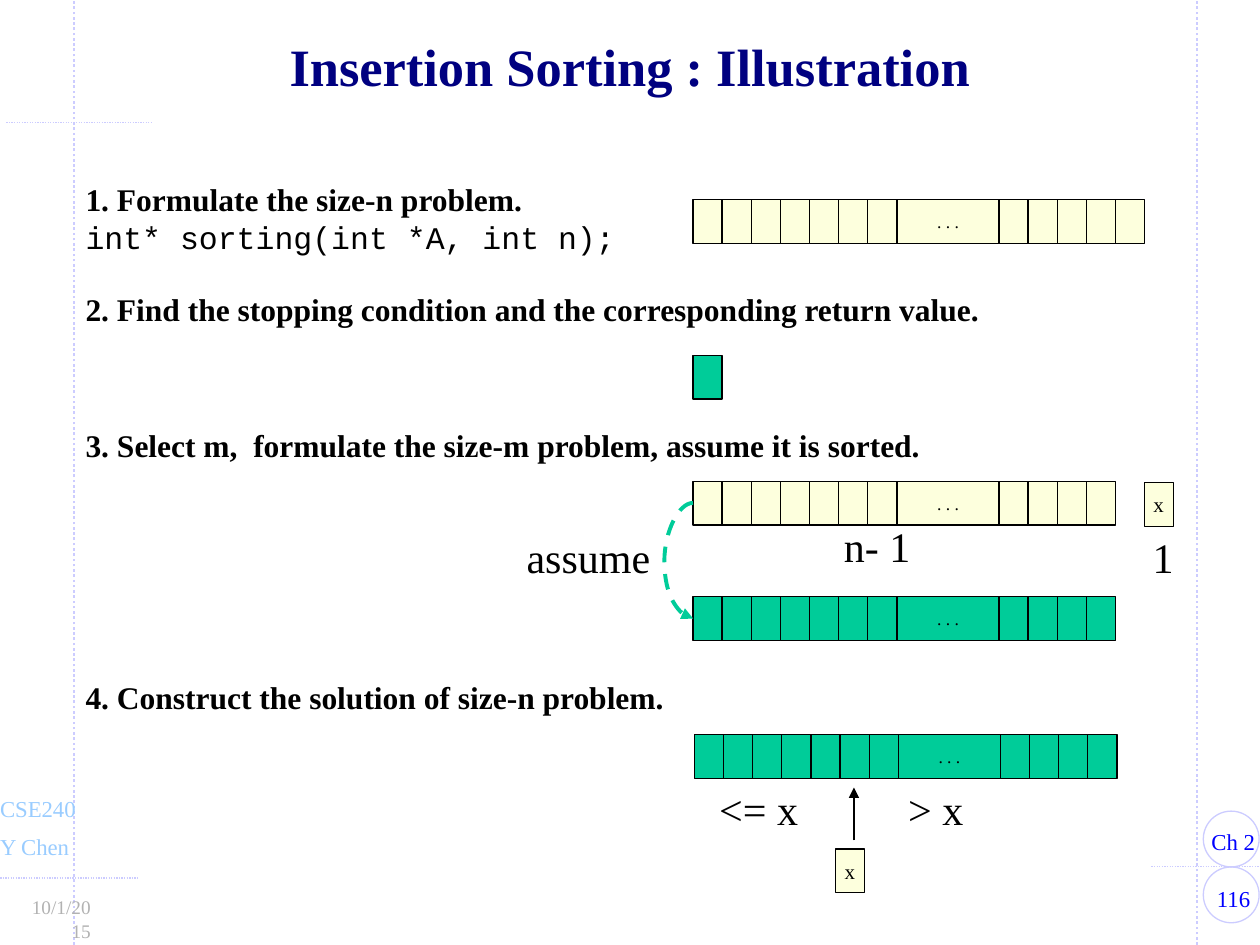
"""Build a slide that illustrates insertion sorting step by step."""
from lxml import etree
from pptx import Presentation
from pptx.dml.color import RGBColor
from pptx.enum.dml import MSO_LINE
from pptx.enum.shapes import MSO_CONNECTOR, MSO_SHAPE
from pptx.enum.text import MSO_ANCHOR, PP_ALIGN
from pptx.oxml.ns import qn
from pptx.util import Pt

RECT, OVAL = MSO_SHAPE.RECTANGLE, MSO_SHAPE.OVAL
STRAIGHT, CURVE = MSO_CONNECTOR.STRAIGHT, MSO_CONNECTOR.CURVE
LEFT, CENTER, RIGHT = PP_ALIGN.LEFT, PP_ALIGN.CENTER, PP_ALIGN.RIGHT
TOP, MIDDLE = MSO_ANCHOR.TOP, MSO_ANCHOR.MIDDLE
DOT, DASH = MSO_LINE.ROUND_DOT, MSO_LINE.DASH

THEME = {
    "serif": "Times New Roman", "mono": "Courier New",
    "title": "000080", "text": "000000", "rule": "CCCCFF", "page": "0000FF",
    "course": "99CCFF", "date": "B2B2B2", "raw": "FDFFDD", "sorted": "00CC99",
    "title_size": 30, "label_size": 24, "step_size": 18, "frame_size": 13,
    "key_size": 12, "date_size": 11, "dots_size": 10,
}

TITLE = "Insertion Sorting : Illustration"
STEPS = [
    (99.4, 50.4, ["1. Formulate the size-n problem.", "int* sorting(int *A, int n);"]),
    (162, 28.8, ["2. Find the stopping condition and the corresponding return value."]),
    (239.8, 28.8, ["3. Select m,  formulate the size-m problem, assume it is sorted."]),
    (383.8, 28.8, ["4. Construct the solution of size-n problem."]),
]
ARRAYS = [
    (396, 114, 5, "raw"),
    (396, 275, 4, "raw"),
    (396, 341, 4, "sorted"),
    (396.8, 419.8, 4, "sorted"),
]
SINGLES = [
    (396, 203, "sorted", ""),
    (653.8, 275.8, "raw", "x"),
    (477.4, 485.1, "raw", "x"),
]
LABELS = [
    (475.2, 293.8, 52.6, "n- 1"),
    (651.6, 300.2, 26.6, "1"),
    (293.8, 300.2, 85, "assume"),
    (403.9, 444.2, 59.8, "<= x"),
    (511.9, 444.2, 46.1, "> x"),
]
FRAME_LINES = [
    (42.3, 540, 42.3, 0, 1.5),
    (684, 540, 684, 0, 1.5),
    (-4.3, 501.8, 78.5, 501.8, 0.75),
    (658, 495.2, 723.6, 495.2, 0.75),
    (3.6, 69.9, 86.4, 69.9, 0.75),
]
FRAME_CIRCLES = [(687.6, 495.4), (687.6, 463.5)]
FRAME_TEXTS = [
    (684, 501.8, 41.8, 23, "116", "page", "frame_size", CENTER),
    (684.4, 469.6, 44, 23, "Ch 2", "page", "frame_size", LEFT),
    (-7.9, 472.5, 60, 23, "Y Chen", "course", "frame_size", LEFT),
    (-7.9, 450.7, 62, 23, "CSE240", "course", "frame_size", LEFT),
    (5.8, 508.3, 54, 20.9, "10/1/2015", "date", "date_size", RIGHT),
]
CELL_W, CELL_H, GAP_W, LEAD_CELLS = 16.65, 25, 58.3, 7
CIRCLE = 31.9


def rgb(name):
    return RGBColor.from_string(THEME[name])


def write(tf, lines, size, color="text", align=LEFT, bold=False, wrap=True, anchor=TOP, inset=7.2):
    tf.word_wrap = wrap
    tf.vertical_anchor = anchor
    tf.margin_left = tf.margin_right = Pt(inset)
    tf.margin_top = tf.margin_bottom = Pt(3.6)
    for i, line in enumerate(lines):
        p = tf.add_paragraph() if i else tf.paragraphs[0]
        p.alignment = align
        r = p.add_run()
        r.text = line
        r.font.name = THEME["mono" if i else "serif"]
        r.font.size = Pt(THEME[size])
        r.font.bold = bold and not i
        r.font.color.rgb = rgb(color)


def add_text(s, x, y, w, h, lines, size, **style):
    sp = s.shapes.add_textbox(Pt(x), Pt(y), Pt(w), Pt(h))
    write(sp.text_frame, lines, size, **style)
    return sp.text_frame


def add_box(s, kind, x, y, w, h, fill=None, line="text"):
    sp = s.shapes.add_shape(kind, Pt(x), Pt(y), Pt(w), Pt(h))
    sp.shadow.inherit = False
    if fill:
        sp.fill.solid()
        sp.fill.fore_color.rgb = rgb(fill)
    else:
        sp.fill.background()
    sp.line.color.rgb = rgb(line)
    sp.line.width = Pt(0.75)
    return sp


def add_cell(s, x, y, w, fill, label="", size="key_size"):
    sp = add_box(s, RECT, x, y, w, CELL_H, fill)
    if label:
        write(sp.text_frame, [label], size, align=CENTER, wrap=False, anchor=MIDDLE)


def add_array(s, x, y, tail_cells, fill):
    for i in range(LEAD_CELLS):
        add_cell(s, x + i * CELL_W, y, CELL_W, fill)
    gap_x = x + LEAD_CELLS * CELL_W
    add_cell(s, gap_x, y, GAP_W, fill, ". . .", "dots_size")
    for i in range(tail_cells):
        add_cell(s, gap_x + GAP_W + i * CELL_W, y, CELL_W, fill)


def add_line(s, x1, y1, x2, y2, width, color, dash=None, arrow=False, kind=STRAIGHT):
    cxn = s.shapes.add_connector(kind, Pt(x1), Pt(y1), Pt(x2), Pt(y2))
    cxn.line.color.rgb = rgb(color)
    cxn.line.width = Pt(width)
    if dash:
        cxn.line.dash_style = dash
    spPr = cxn._element.spPr
    if arrow:
        etree.SubElement(spPr.find(qn("a:ln")), qn("a:tailEnd"), type="triangle")
    etree.SubElement(spPr, qn("a:effectLst"))
    return spPr


def main():
    prs = Presentation()
    prs.slide_width, prs.slide_height = Pt(720), Pt(540)
    s = prs.slides.add_slide(prs.slide_layouts[6])

    for x1, y1, x2, y2, width in FRAME_LINES:
        add_line(s, x1, y1, x2, y2, width, "rule", DOT)
    for x, y in FRAME_CIRCLES:
        add_box(s, OVAL, x, y, CIRCLE, CIRCLE, line="rule")
    for x, y, w, h, text, color, size, align in FRAME_TEXTS:
        add_text(s, x, y, w, h, [text], size, color=color, align=align, inset=7.9)

    tf = add_text(s, 52.6, 18, 614.8, 44.6, [TITLE], "title_size", color="title",
                  align=CENTER, bold=True, anchor=MIDDLE)
    tf.paragraphs[0].line_spacing = 0.85

    for y, h, lines in STEPS:
        tf = add_text(s, 41.8, y, 648, h, lines, "step_size", bold=True)
        for p in tf.paragraphs:
            pPr = p._p.get_or_add_pPr()
            pPr.set("marL", str(Pt(36)))
            pPr.set("indent", str(Pt(-36)))
    for array in ARRAYS:
        add_array(s, *array)
    for x, y, fill, label in SINGLES:
        add_cell(s, x, y, CELL_W, fill, label)
    for x, y, w, text in LABELS:
        add_text(s, x, y, w, 36, [text], "label_size", wrap=False)

    add_line(s, 488, 480.2, 488, 450, 0.75, "text", arrow=True)
    spPr = add_line(s, 396, 287.4, 396.12, 353.5, 2.25, "sorted", DASH, True, CURVE)
    avLst = spPr.find(qn("a:prstGeom")).get_or_add_avLst()
    etree.SubElement(avLst, qn("a:gd"), name="adj1", fmla="val -14400000")

    prs.save("out.pptx")


if __name__ == "__main__":
    main()
